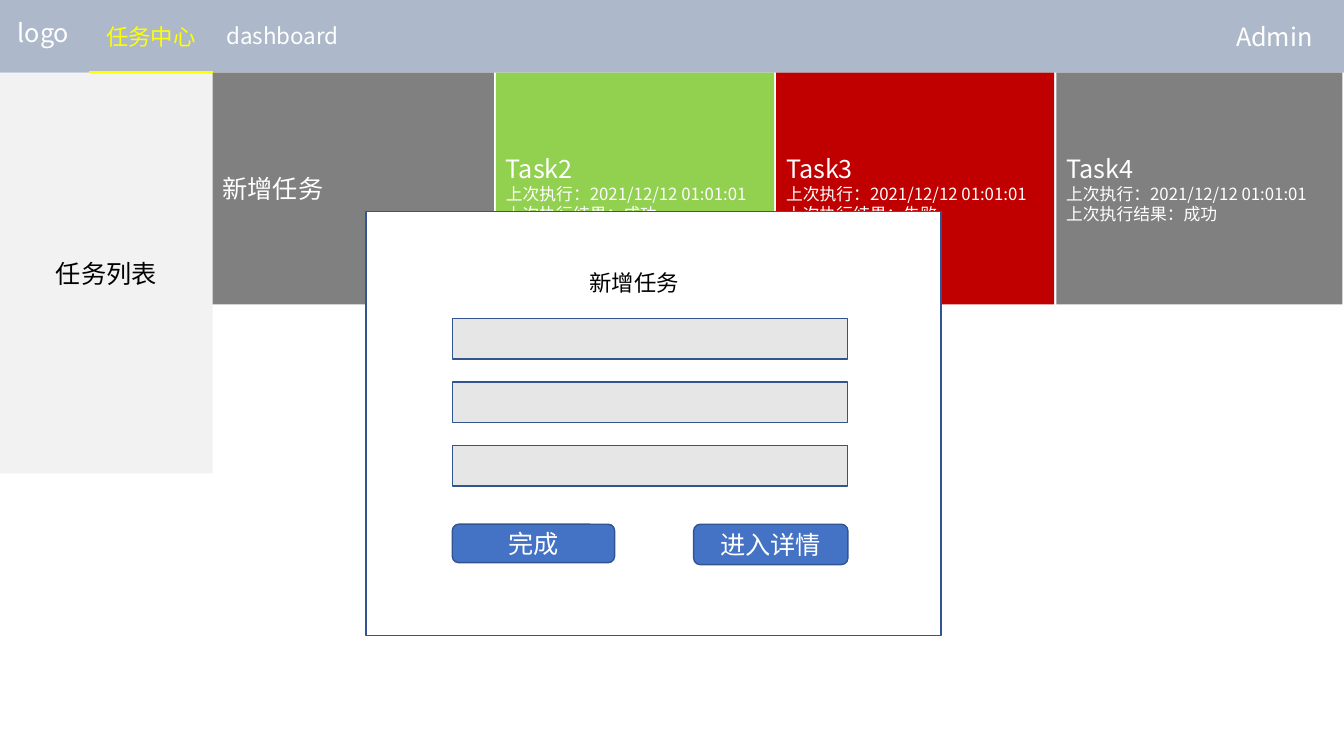
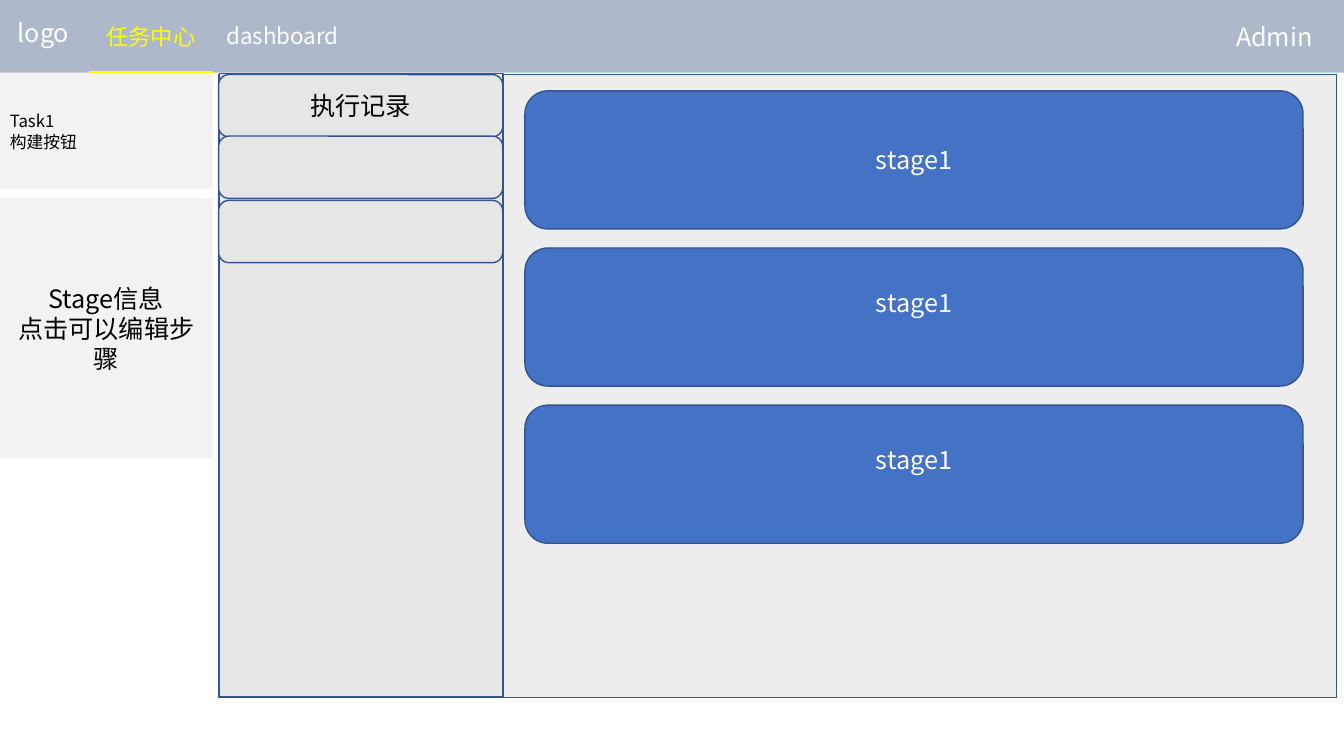
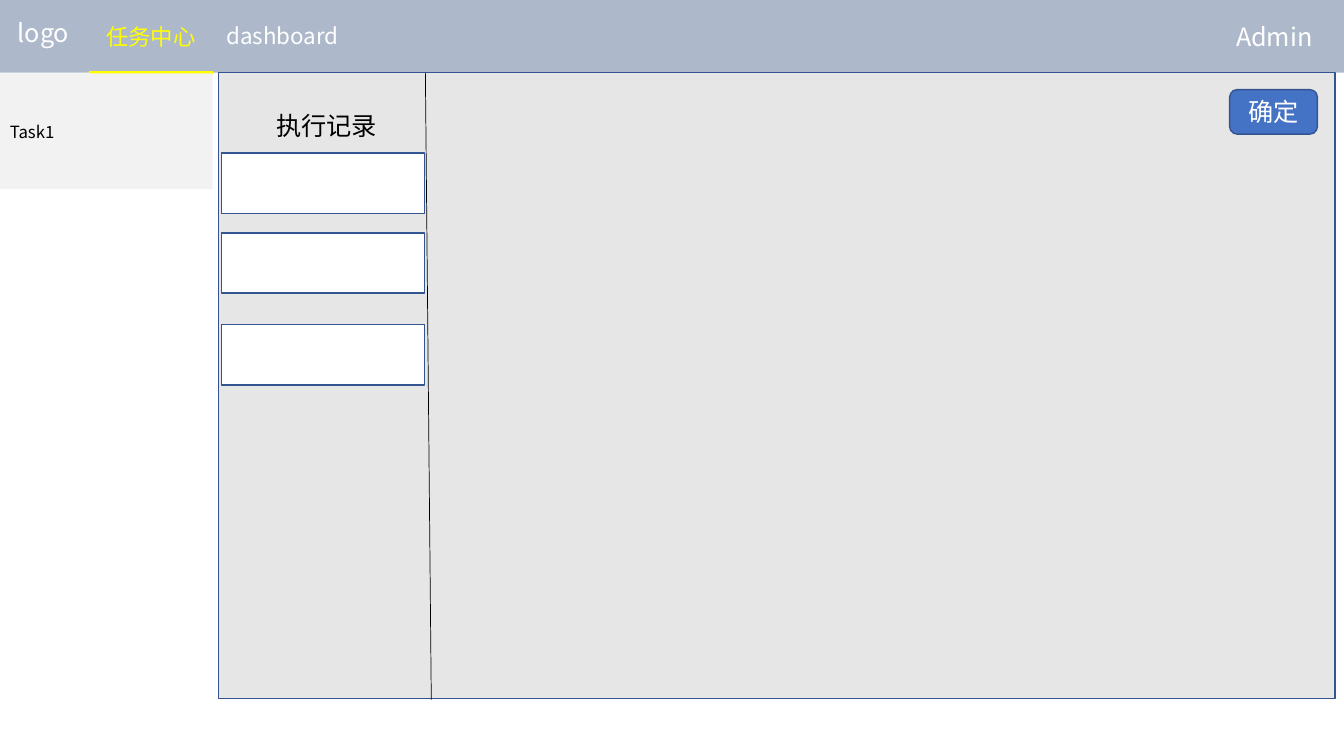
from dataclasses import dataclass

from lxml import etree
from pptx import Presentation
from pptx.dml.color import RGBColor
from pptx.enum.shapes import MSO_CONNECTOR, MSO_SHAPE
from pptx.enum.text import MSO_ANCHOR, PP_ALIGN
from pptx.oxml.ns import qn
from pptx.util import Cm, Pt

RECT = MSO_SHAPE.RECTANGLE
ROUND = MSO_SHAPE.ROUNDED_RECTANGLE
LINE = MSO_CONNECTOR.STRAIGHT
LEFT = PP_ALIGN.LEFT
MID = PP_ALIGN.CENTER
TOP = MSO_ANCHOR.TOP
CENTRE = MSO_ANCHOR.MIDDLE


@dataclass(frozen=True)
class Theme:
    font: str = "Noto Sans CJK SC"
    white: str = "FFFFFF"
    black: str = "000000"
    bar: str = "ADB9CA"
    active: str = "FFFF00"
    side: str = "F2F2F2"
    idle: str = "808080"
    good: str = "92D050"
    bad: str = "C00000"
    field: str = "E7E6E6"
    panel: str = "EDEDED"
    blue: str = "4472C4"
    edge: str = "325491"
    large: int = 18
    tab: int = 16
    small: int = 12


THEME = Theme()
WIDTH, HEIGHT = 33.87, 19.05
BAR = 1.83
SIDE_TOP = 1.85
SIDE = 5.36


def write(shape, text, size=THEME.large, rest=None, color=THEME.white,
          align=MID, anchor=CENTRE, pad=0.25, lift=0.13):
    frame = shape.text_frame
    frame.word_wrap = True
    frame.vertical_anchor = anchor
    frame.margin_left = frame.margin_right = Cm(pad)
    frame.margin_top = Cm(0.13)
    frame.margin_bottom = Cm(lift)
    for row, line in enumerate(text.split("\n")):
        para = frame.add_paragraph() if row else frame.paragraphs[0]
        para.alignment = align
        run = para.add_run()
        run.text = line
        font = run.font
        font.size = Pt(rest if row and rest else size)
        font.color.rgb = RGBColor.from_string(color)
        font.name = THEME.font
        east = etree.SubElement(run._r.get_or_add_rPr(), qn("a:ea"))
        east.set("typeface", THEME.font)


def box(slide, left, top, width, height, fill=None, edge=None, kind=RECT,
        text=None, **style):
    shape = slide.shapes.add_shape(kind, Cm(left), Cm(top), Cm(width), Cm(height))
    shape.shadow.inherit = False
    if fill:
        shape.fill.solid()
        shape.fill.fore_color.rgb = RGBColor.from_string(fill)
    else:
        shape.fill.background()
    if edge:
        shape.line.color.rgb = RGBColor.from_string(edge)
        shape.line.width = Pt(1)
    else:
        shape.line.fill.background()
    if text:
        write(shape, text, **style)


def label(slide, left, top, width, height, text, **style):
    shape = slide.shapes.add_textbox(Cm(left), Cm(top), Cm(width), Cm(height))
    write(shape, text, **style)


def rule(slide, start, end, color, weight):
    line = slide.shapes.add_connector(LINE, *map(Cm, start + end))
    line.line.color.rgb = RGBColor.from_string(color)
    line.line.width = Pt(weight)
    etree.SubElement(line._element.spPr, qn("a:effectLst"))


def button(slide, left, top, width, height, text, **style):
    box(slide, left, top, width, height, THEME.blue, THEME.edge, ROUND, text, **style)


def stack(slide, left, tops, width, height, fill, kind=RECT):
    for top in tops:
        box(slide, left, top, width, height, fill, THEME.edge, kind)


def side(slide, top, height, text, **style):
    box(slide, 0, top, SIDE, height, THEME.side, text=text, color=THEME.black, **style)


def page(deck):
    slide = deck.slides.add_slide(deck.slide_layouts[6])
    box(slide, 0, 0, WIDTH, BAR, THEME.bar)
    label(slide, 0.18, 0.43, 1.83, 0.79, "logo", pad=0)
    label(slide, 30.73, 0.43, 2.77, 0.97, "Admin", pad=0)
    box(slide, 2.24, 0, 3.12, BAR, kind=ROUND, text="任务中心",
        size=THEME.tab, color=THEME.active)
    box(slide, SIDE, 0, 3.53, 1.78, kind=ROUND, text="dashboard", size=THEME.tab)
    rule(slide, (2.24, BAR), (SIDE, BAR), THEME.active, 3)
    return slide


def cards(slide):
    past = "{}\n上次执行：2021/12/12 01:01:01\n上次执行结果：{}"
    items = [
        (7.09, THEME.idle, "新增任务"),
        (7.01, THEME.good, past.format("Task2", "成功")),
        (7.01, THEME.bad, past.format("Task3", "失败")),
        (7.21, THEME.idle, past.format("Task4", "成功")),
    ]
    left = SIDE
    for width, fill, text in items:
        box(slide, left, BAR, width, 5.84, fill, text=text,
            rest=THEME.small, align=LEFT)
        left += width + 0.05


def form(slide):
    box(slide, 9.22, 5.33, 14.5, 10.69, THEME.white, THEME.edge)
    box(slide, 14.22, 6.2, 3.53, 1.83, kind=ROUND, text="新增任务",
        size=THEME.tab, color=THEME.black)
    stack(slide, 11.4, [8.03 + 1.6 * row for row in range(3)], 9.96, 1.02, THEME.field)
    button(slide, 11.4, 13.21, 4.09, 0.97, "完成")
    button(slide, 17.48, 13.21, 3.89, 1.02, "进入详情")


def tasks(deck):
    slide = page(deck)
    side(slide, SIDE_TOP, 10.08, "任务列表")
    cards(slide)
    form(slide)


def stages(deck):
    slide = page(deck)
    side(slide, SIDE_TOP, 2.92, "Task1\n构建按钮", size=THEME.small, align=LEFT)
    side(slide, 5, 6.55, "Stage信息\n点击可以编辑步骤")
    box(slide, 5.51, 1.88, 28.17, 15.7, THEME.panel, THEME.edge)
    box(slide, 5.54, 1.85, 7.14, 15.72, THEME.field, THEME.edge)
    box(slide, 5.51, 1.88, 7.16, 1.57, THEME.field, THEME.edge, ROUND,
        "执行记录", color=THEME.black)
    stack(slide, 5.51, [3.43, 5.05], 7.16, 1.57, THEME.field, ROUND)
    for row, lift in enumerate([0.13, 0.88, 0.88]):
        button(slide, 13.23, 2.29 + 3.96 * row, 19.61, 3.48, "stage1", lift=lift)


def record(deck):
    slide = page(deck)
    side(slide, SIDE_TOP, 2.92, "Task1", size=THEME.small, align=LEFT)
    box(slide, 5.51, BAR, 28.14, 15.77, THEME.field, THEME.edge)
    label(slide, 6.71, 2.64, 3.53, 1.02, "执行记录", color=THEME.black,
          align=LEFT, anchor=TOP)
    rule(slide, (10.72, BAR), (10.87, 17.63), THEME.black, 0.5)
    stack(slide, 5.59, [3.86, 5.87, 8.18], 5.11, 1.52, THEME.white)
    button(slide, 30.99, 2.26, 2.21, 1.12, "确定")


def main():
    deck = Presentation()
    deck.slide_width = Cm(WIDTH)
    deck.slide_height = Cm(HEIGHT)
    tasks(deck)
    stages(deck)
    record(deck)
    deck.save("out.pptx")


if __name__ == "__main__":
    main()
